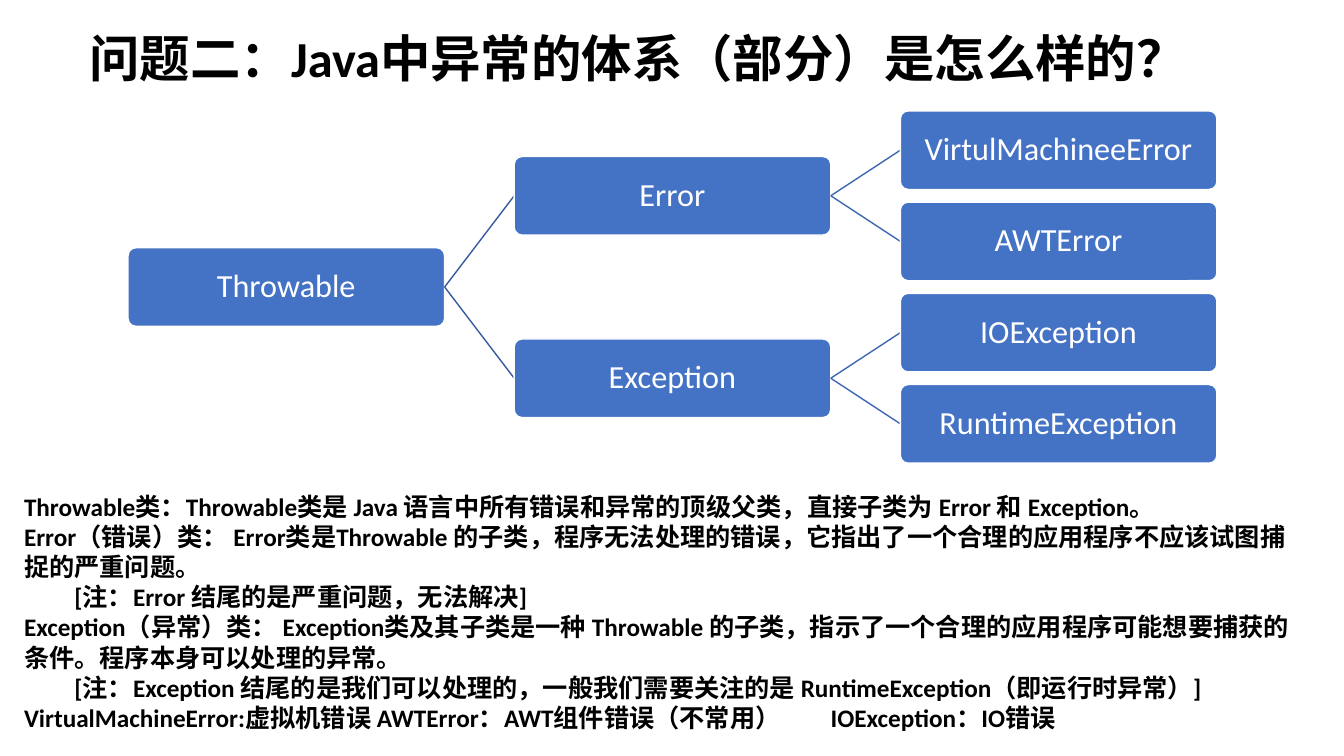
"""Build a slide on the Java exception class hierarchy."""
from pptx import Presentation
from pptx.dml.color import RGBColor
from pptx.enum.shapes import MSO_CONNECTOR, MSO_SHAPE
from pptx.enum.text import MSO_ANCHOR, PP_ALIGN
from pptx.oxml.ns import qn
from pptx.util import Inches, Pt
from lxml import etree

COLORS = {
    "box": "4472C4",
    "white": "FFFFFF",
    "text": "000000",
    "root_link": "365B9D",
    "leaf_link": "3E67B2",
}
FONT = "Calibri"
BOX_WIDTH, BOX_HEIGHT = 3.14, 0.78
FIRST_LEFT, COLUMN_STEP = 1.27, 3.83
FIRST_MIDDLE, ROW_STEP = 1.49, 0.905

NODES = {
    "Throwable": (0, 1.5, None),
    "Error": (1, 0.5, "Throwable"),
    "Exception": (1, 2.5, "Throwable"),
    "VirtulMachineeError": (2, 0, "Error"),
    "AWTError": (2, 1, "Error"),
    "IOException": (2, 2, "Exception"),
    "RuntimeException": (2, 3, "Exception"),
}
TITLE = "问题二：Java中异常的体系（部分）是怎么样的？"
NOTES = [
    "Throwable类：Throwable类是 Java 语言中所有错误和异常的顶级父类，直接子类为 Error 和 Exception。",
    "Error（错误）类： Error类是Throwable 的子类，程序无法处理的错误，它指出了一个合理的应用程序不应该试图捕捉的严重问题。",
    "\t[注：Error 结尾的是严重问题，无法解决]",
    "Exception（异常）类： Exception类及其子类是一种 Throwable 的子类，指示了一个合理的应用程序可能想要捕获的条件。程序本身可以处理的异常。",
    "\t[注：Exception 结尾的是我们可以处理的，一般我们需要关注的是 RuntimeException（即运行时异常）]",
    "VirtualMachineError:虚拟机错误\tAWTError：AWT组件错误（不常用）\tIOException：IO错误",
]


def style_text(frame, size, color, bold=False, spacing=None):
    """Format every paragraph and run of a text frame."""
    frame.word_wrap = True
    for para in frame.paragraphs:
        if spacing:
            para.line_spacing = spacing
        for span in para.runs:
            span.font.name = FONT
            span.font.size = Pt(size)
            span.font.bold = bold
            span.font.color.rgb = RGBColor.from_string(COLORS[color])


def node_place(name):
    """Return the left edge and vertical middle of a node in inches."""
    column, row, _ = NODES[name]
    return FIRST_LEFT + column * COLUMN_STEP, FIRST_MIDDLE + row * ROW_STEP


deck = Presentation()
deck.slide_width, deck.slide_height = Inches(13.33), Inches(7.5)
page = deck.slides.add_slide(deck.slide_layouts[6])

title = page.shapes.add_textbox(Inches(0.79), Inches(0.16), Inches(11.5), Inches(0.9))
title.text_frame.text = TITLE
title.text_frame.vertical_anchor = MSO_ANCHOR.MIDDLE
style_text(title.text_frame, 36, "text", bold=True, spacing=0.9)

for name, (column, row, parent) in NODES.items():
    left, middle = node_place(name)
    if parent:
        parent_left, parent_middle = node_place(parent)
        link = page.shapes.add_connector(
            MSO_CONNECTOR.STRAIGHT,
            Inches(parent_left + BOX_WIDTH), Inches(parent_middle),
            Inches(left), Inches(middle),
        )
        link_color = COLORS["root_link" if column == 1 else "leaf_link"]
        link.line.color.rgb = RGBColor.from_string(link_color)
        link.line.width = Pt(1)
        etree.SubElement(link._element.spPr, qn("a:effectLst"))

    box = page.shapes.add_shape(
        MSO_SHAPE.ROUNDED_RECTANGLE,
        Inches(left), Inches(middle - BOX_HEIGHT / 2),
        Inches(BOX_WIDTH), Inches(BOX_HEIGHT),
    )
    box.adjustments[0] = 0.1
    box.shadow.inherit = False
    box.fill.solid()
    box.fill.fore_color.rgb = RGBColor.from_string(COLORS["box"])
    box.line.color.rgb = RGBColor.from_string(COLORS["white"])
    box.line.width = Pt(1)
    frame = box.text_frame
    frame.text = name
    frame.vertical_anchor = MSO_ANCHOR.MIDDLE
    frame.margin_left = frame.margin_right = Inches(0.02)
    frame.margin_top = frame.margin_bottom = Inches(0.02)
    frame.paragraphs[0].alignment = PP_ALIGN.CENTER
    style_text(frame, 23, "white", spacing=0.9)

notes = page.shapes.add_textbox(Inches(0.14), Inches(4.82), Inches(12.8), Inches(2.52))
notes.text_frame.text = "\n".join(NOTES)
style_text(notes.text_frame, 18, "text", bold=True)

deck.save("out.pptx")
